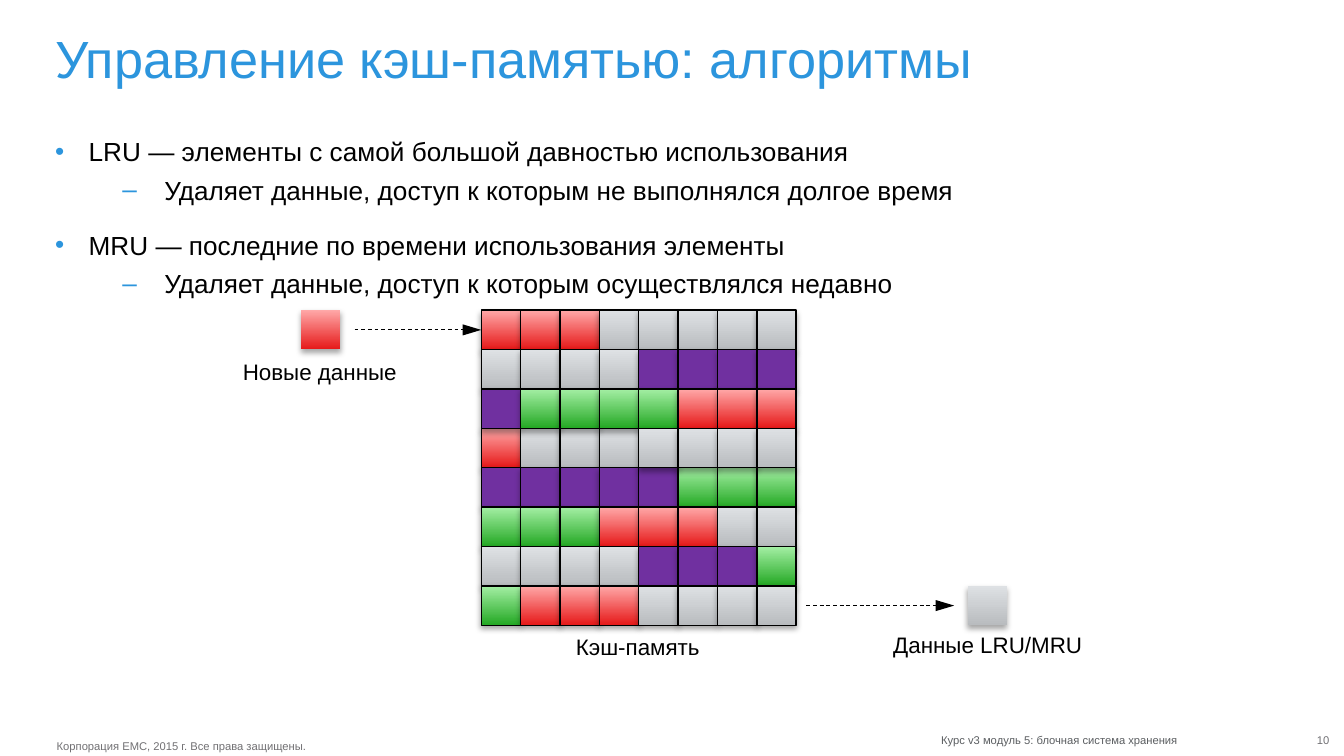
from lxml import etree
from pptx import Presentation
from pptx.dml.color import RGBColor
from pptx.enum.dml import MSO_LINE
from pptx.enum.shapes import MSO_CONNECTOR, MSO_SHAPE
from pptx.enum.text import MSO_ANCHOR, PP_ALIGN
from pptx.oxml.ns import qn
from pptx.util import Pt

LEFT, CENTER, RIGHT = PP_ALIGN.LEFT, PP_ALIGN.CENTER, PP_ALIGN.RIGHT
TOP, MIDDLE = MSO_ANCHOR.TOP, MSO_ANCHOR.MIDDLE
RECTANGLE, STRAIGHT, DASH = MSO_SHAPE.RECTANGLE, MSO_CONNECTOR.STRAIGHT, MSO_LINE.DASH
LEFT_SIDE = 1

BLACK, BLUE = "000000", "2C95DD"
FONT = "Arial"

TITLE = "Управление кэш-памятью: алгоритмы"
BULLETS = [
    (0, "LRU — элементы с самой большой давностью использования"),
    (1, "Удаляет данные, доступ к которым не выполнялся долгое время"),
    (0, "MRU — последние по времени использования элементы"),
    (1, "Удаляет данные, доступ к которым осуществлялся недавно"),
]
LEVELS = [
    {"mark": "•", "margin": 18, "hanging": 18, "space": 12.7},
    {"mark": "–", "margin": 58.5, "hanging": 22.5, "space": 3.7},
]
LABELS = [
    ("Новые данные", 129.6, 193.7, 83.5),
    ("Данные LRU/MRU", 478.1, 339.8, 102.2),
    ("Кэш-память", 308.2, 340.6, 67),
]
FOOTERS = [
    ("Корпорация EMC, 2015 г. Все права защищены.", 30.4, 396, 137, LEFT, "717073"),
    ("Курс v3 модуль 5: блочная система хранения", 504, 393.1, 126.7, RIGHT, "5B5E61"),
    ("10", 689.8, 393.1, 22.3, RIGHT, "717074"),
]
FILLS = {
    "R": ("E61919", "FFA8A8"),
    "S": ("B9BCBF", "DEE1E4"),
    "G": ("24A824", "A4EFA4"),
    "P": ("7030A0",),
}
CACHE_ROWS = [
    "RRRSSSSS",
    "SSSSPPPP",
    "PGGGGRRR",
    "RSSSSSSS",
    "PPPPPGGG",
    "GGGRRRSS",
    "SSSSPPPG",
    "GRRRSSSS",
]
DRAW_SPANS = [(3, 0, 4), (4, 0, 8), (5, 0, 8), (6, 0, 8), (7, 0, 8),
              (0, 0, 8), (1, 0, 8), (2, 0, 8), (3, 4, 8)]
CELL = 21.1
CACHE_LEFT, CACHE_TOP = 257.8, 166.2
LAST_ROW_TOP = CACHE_TOP + CELL * (len(CACHE_ROWS) - 1)


def color(value):
    """Turn a hex string into a colour."""
    return RGBColor.from_string(value)


def apply(target, values):
    """Set every attribute named in a dict."""
    for name, value in values.items():
        setattr(target, name, value)


def add_child(parent, tag, **attributes):
    """Append an XML element and return it."""
    return etree.SubElement(parent, qn(tag), attributes)


def write(paragraph, text, size, text_color):
    """Put one formatted run into a paragraph."""
    run = paragraph.add_run()
    run.text = text
    apply(run.font, {"name": FONT, "size": Pt(size)})
    run.font.color.rgb = color(text_color)


def add_box(slide, left, top, width, height, anchor=TOP, wrap=True):
    """Add an empty text box without insets and return its frame."""
    frame = slide.shapes.add_textbox(Pt(left), Pt(top), Pt(width), Pt(height)).text_frame
    apply(frame, {"margin_left": 0, "margin_top": 0, "margin_right": 0, "margin_bottom": 0,
                  "word_wrap": wrap, "vertical_anchor": anchor})
    return frame


def add_bullets(slide):
    """Add the two-level list."""
    frame = add_box(slide, 29.5, 72.7, 666, 270)
    for index, (level, text) in enumerate(BULLETS):
        paragraph = frame.add_paragraph() if index else frame.paragraphs[0]
        style = LEVELS[level]
        properties = paragraph._p.get_or_add_pPr()
        properties.set("marL", str(Pt(style["margin"])))
        properties.set("indent", str(-Pt(style["hanging"])))
        add_child(add_child(properties, "a:buClr"), "a:srgbClr", val=BLUE)
        add_child(properties, "a:buFont", typeface=FONT)
        add_child(properties, "a:buChar", char=style["mark"])
        apply(paragraph, {"level": level, "space_before": Pt(style["space"] if index else 0)})
        write(paragraph, text, 14, BLACK)


def add_cell(slide, kind, left, top, outlined=True):
    """Add one data block with its fill and shadow."""
    shape = slide.shapes.add_shape(RECTANGLE, Pt(left), Pt(top), Pt(CELL), Pt(CELL))
    colors = FILLS[kind]
    if len(colors) == 1:
        shape.fill.solid()
        shape.fill.fore_color.rgb = color(colors[0])
    else:
        shape.fill.gradient()
        shape.fill.gradient_angle = 90
        for position, (stop, value) in enumerate(zip(shape.fill.gradient_stops, colors)):
            stop.position = position
            stop.color.rgb = color(value)
    if outlined:
        shape.line.color.rgb = color(BLACK)
        shape.line.width = Pt(0.75)
    else:
        shape.line.fill.background()
    shape.shadow.inherit = False
    effects = shape._element.spPr.find(qn("a:effectLst"))
    shadow = add_child(effects, "a:outerShdw", blurRad=str(Pt(3.1)), dist=str(Pt(1.8)),
                       dir="5400000", rotWithShape="0")
    add_child(add_child(shadow, "a:srgbClr", val=BLACK), "a:alpha", val="35000")
    return shape


def add_arrow(slide, start, end, top):
    """Add a dashed horizontal arrow."""
    arrow = slide.shapes.add_connector(STRAIGHT, Pt(start), Pt(top), Pt(end), Pt(top))
    apply(arrow.line, {"width": Pt(0.5), "dash_style": DASH})
    arrow.line.color.rgb = color(BLACK)
    add_child(arrow.line._get_or_add_ln(), "a:tailEnd", type="triangle", w="med", len="lg")
    add_child(arrow._element.spPr, "a:effectLst")
    return arrow


def main():
    """Build the slide and save it."""
    presentation = Presentation()
    apply(presentation, {"slide_width": Pt(720), "slide_height": Pt(405)})
    slide = presentation.slides.add_slide(presentation.slide_layouts[6])

    for text, left, top, width, alignment, text_color in FOOTERS:
        paragraph = add_box(slide, left, top, width, 7.2, wrap=False).paragraphs[0]
        paragraph.alignment = alignment
        write(paragraph, text, 6, text_color)

    paragraph = add_box(slide, 29.5, 18, 666, 36).paragraphs[0]
    paragraph.line_spacing = 0.9
    write(paragraph, TITLE, 28, BLUE)
    add_bullets(slide)

    for text, left, top, width in LABELS:
        paragraph = add_box(slide, left, top, width, 13, MIDDLE, False).paragraphs[0]
        apply(paragraph, {"alignment": CENTER, "line_spacing": 0.9})
        write(paragraph, text, 12, BLACK)

    add_cell(slide, "R", 161.3, CACHE_TOP, False)
    add_cell(slide, "S", 518.4, LAST_ROW_TOP, False)
    cells = {}
    for row, first, end in DRAW_SPANS:
        for column in range(first, end):
            cells[row, column] = add_cell(slide, CACHE_ROWS[row][column],
                                          CACHE_LEFT + column * CELL, CACHE_TOP + row * CELL)

    incoming = add_arrow(slide, 190, CACHE_LEFT, CACHE_TOP + CELL / 2)
    incoming.end_connect(cells[0, 0], LEFT_SIDE)
    add_arrow(slide, 432, 511.2, LAST_ROW_TOP + CELL / 2)
    presentation.save("out.pptx")


if __name__ == "__main__":
    main()
